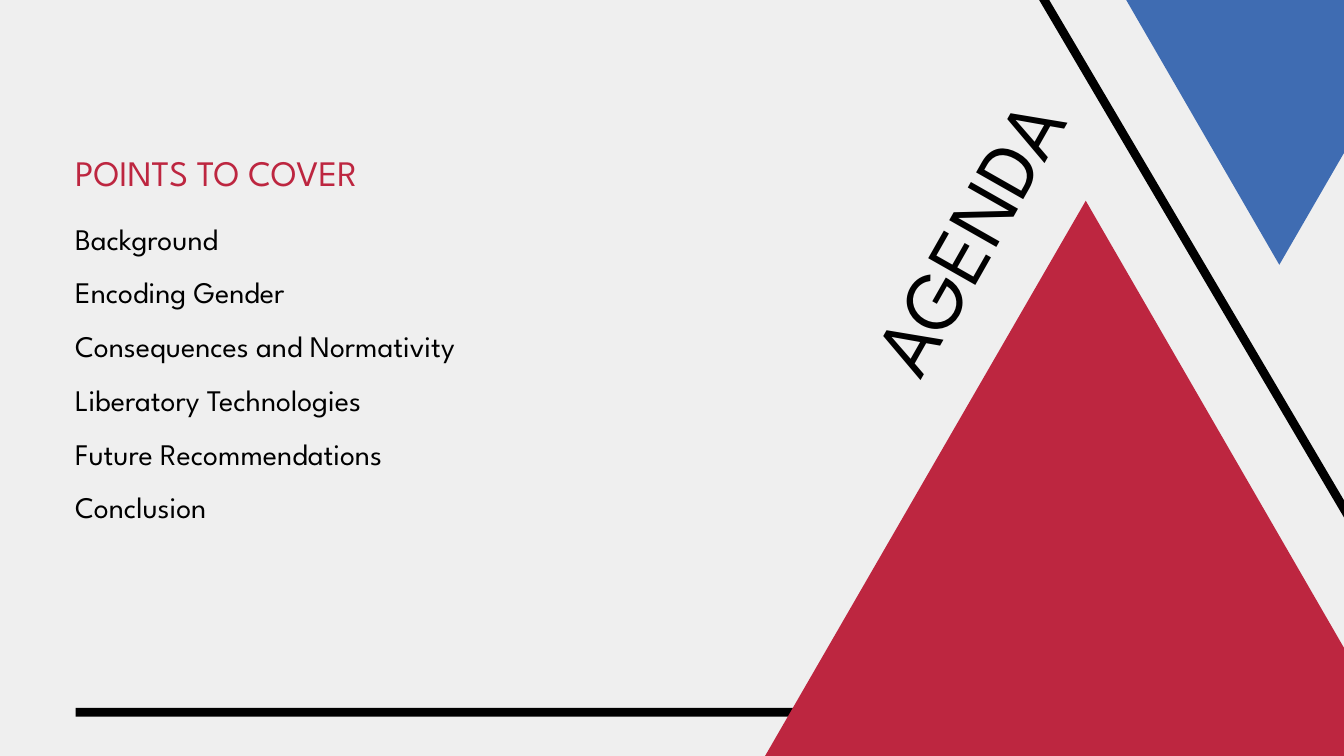
from dataclasses import dataclass

from pptx import Presentation
from pptx.dml.color import RGBColor
from pptx.enum.shapes import MSO_SHAPE
from pptx.enum.text import MSO_AUTO_SIZE, PP_ALIGN
from pptx.slide import Slide
from pptx.util import Cm, Pt

RECTANGLE = MSO_SHAPE.RECTANGLE
TRIANGLE = MSO_SHAPE.ISOSCELES_TRIANGLE
LEFT, RIGHT = PP_ALIGN.LEFT, PP_ALIGN.RIGHT
GROW = MSO_AUTO_SIZE.SHAPE_TO_FIT_TEXT

FONT = "League Spartan"
COLORS = {"paper": "EFEFEF", "ink": "000000", "red": "BD2640", "blue": "3F6CB2"}
POINTS = [
    "Background",
    "Encoding Gender",
    "Consequences and Normativity",
    "Liberatory Technologies",
    "Future Recommendations",
    "Conclusion",
]


@dataclass(frozen=True)
class Box:
    left: float
    top: float
    width: float
    height: float
    rotation: float = 0

    def lengths(self) -> list[Cm]:
        return [Cm(n) for n in (self.left, self.top, self.width, self.height)]


@dataclass(frozen=True)
class Ornament:
    outline: MSO_SHAPE
    color: str
    box: Box


ORNAMENTS = [
    Ornament(RECTANGLE, "ink", Box(2.86, 26.76, 45.06, 0.33)),
    Ornament(TRIANGLE, "red", Box(28.63, 7.59, 24.82, 21.49)),
    Ornament(TRIANGLE, "blue", Box(42.32, -0.43, 12.07, 10.44, 180)),
    Ornament(RECTANGLE, "ink", Box(45.82, -9.17, 0.33, 40.46, 329.5)),
]


def rgb(name: str) -> RGBColor:
    return RGBColor.from_string(COLORS[name])


def draw_ornament(slide: Slide, ornament: Ornament) -> None:
    shape = slide.shapes.add_shape(ornament.outline, *ornament.box.lengths())
    shape.rotation = ornament.box.rotation
    shape.shadow.inherit = False
    shape.fill.solid()
    shape.fill.fore_color.rgb = rgb(ornament.color)
    shape.line.fill.background()


def add_text(slide: Slide, lines: list[str], box: Box, *, size: float,
             color: str = "ink", spacing: float = 1.0,
             align: PP_ALIGN = LEFT) -> None:
    textbox = slide.shapes.add_textbox(*box.lengths())
    textbox.rotation = box.rotation
    frame = textbox.text_frame
    frame.word_wrap = True
    frame.auto_size = GROW
    frame.margin_left = frame.margin_right = 0
    frame.margin_top = frame.margin_bottom = 0
    frame.text = "\n".join(lines)
    for paragraph in frame.paragraphs:
        paragraph.alignment = align
        paragraph.line_spacing = spacing
        for run in paragraph.runs:
            run.font.name = FONT
            run.font.size = Pt(size)
            run.font.color.rgb = rgb(color)


def main() -> None:
    presentation = Presentation()
    presentation.slide_width = Cm(50.8)
    presentation.slide_height = Cm(28.58)
    slide = presentation.slides.add_slide(presentation.slide_layouts[6])
    slide.background.fill.solid()
    slide.background.fill.fore_color.rgb = rgb("paper")

    add_text(slide, ["POINTS TO COVER"], Box(2.84, 5.36, 26.14, 1.65),
             size=38.4, color="red", spacing=1.2)
    add_text(slide, POINTS, Box(2.84, 7.65, 26.14, 11.63), size=32, spacing=1.5)
    for ornament in ORNAMENTS:
        draw_ornament(slide, ornament)
    add_text(slide, ["AGENDA"], Box(21.51, 12.5, 23.83, 3.76, 299.6),
             size=88, align=RIGHT)

    presentation.save("out.pptx")


if __name__ == "__main__":
    main()
